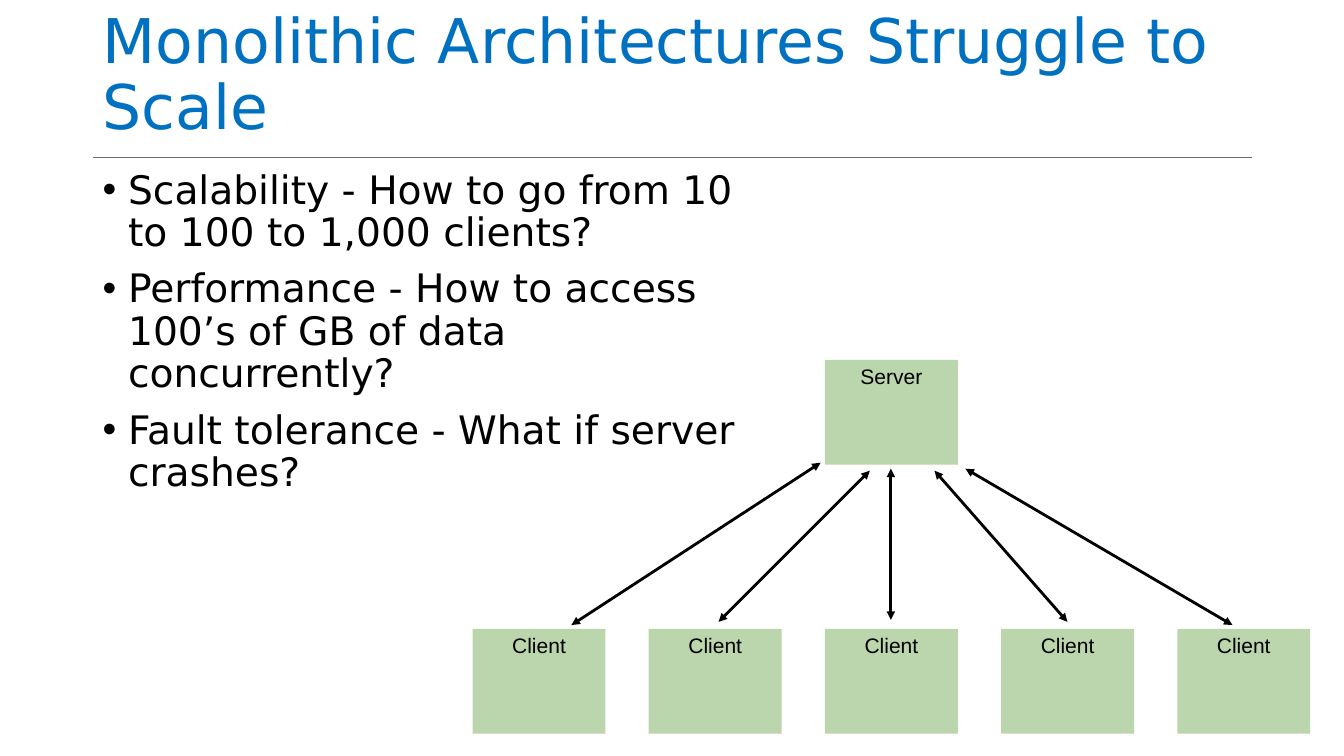
from dataclasses import dataclass

import pptx
import pptx.dml.color
import pptx.enum.shapes
import pptx.enum.text
import pptx.oxml.ns
import pptx.util
from lxml import etree

Cm = pptx.util.Cm
Pt = pptx.util.Pt
RGB = pptx.dml.color.RGBColor
Anchor = pptx.enum.text.MSO_ANCHOR
Align = pptx.enum.text.PP_ALIGN
qn = pptx.oxml.ns.qn


@dataclass(frozen=True)
class Theme:
    heading: RGB = RGB(0x00, 0x70, 0xC0)
    ink: RGB = RGB(0x00, 0x00, 0x00)
    rule: RGB = RGB(0x6B, 0x6B, 0x6B)
    machine: RGB = RGB(0xBB, 0xD5, 0xAC)
    text_font: str = "DejaVu Sans"
    label_font: str = "Arial"
    heading_size: int = 44
    question_size: int = 28
    label_size: int = 15


THEME = Theme()

QUESTIONS = [
    "Scalability - How to go from 10 to 100 to 1,000 clients?",
    "Performance - How to access 100’s of GB of data concurrently?",
    "Fault tolerance - What if server crashes?",
]

CLIENT_COUNT = 5
CLIENT_LEFT, CLIENT_TOP, CLIENT_STEP = 11.91, 15.85, 4.44
SERVER_TOP = 9.07
MACHINE_WIDTH, MACHINE_HEIGHT = 3.35, 2.64

LINKS = [
    ((14.4, 15.75), (20.68, 11.66)),
    ((18.11, 15.67), (21.92, 11.86)),
    ((22.45, 15.62), (22.45, 11.81)),
    ((26.9, 15.67), (23.55, 11.86)),
    ((31.06, 15.75), (24.33, 11.81)),
]


def style_font(paragraph, face, size, color):
    paragraph.font.name = face
    paragraph.font.size = Pt(size)
    paragraph.font.color.rgb = color


def add_bullet(paragraph):
    properties = paragraph._p.get_or_add_pPr()
    properties.set("marL", str(Cm(0.64)))
    properties.set("indent", str(-Cm(0.64)))
    etree.SubElement(properties, qn("a:buFont"), typeface="Arial")
    etree.SubElement(properties, qn("a:buChar"), char="•")


def add_text(slide, lines, left, top, width, height, size, color,
             anchor=Anchor.TOP, bulleted=False):
    frame = slide.shapes.add_textbox(
        Cm(left), Cm(top), Cm(width), Cm(height)).text_frame
    frame.word_wrap = True
    frame.vertical_anchor = anchor
    for index, line in enumerate(lines):
        paragraph = frame.add_paragraph() if index else frame.paragraphs[0]
        paragraph.text = line
        if bulleted:
            add_bullet(paragraph)
        if index:
            paragraph.space_before = Pt(10)
        paragraph.line_spacing = 0.9
        style_font(paragraph, THEME.text_font, size, color)


def add_machine(slide, label, left, top):
    machine = slide.shapes.add_shape(
        pptx.enum.shapes.MSO_SHAPE.RECTANGLE,
        Cm(left), Cm(top), Cm(MACHINE_WIDTH), Cm(MACHINE_HEIGHT))
    machine.shadow.inherit = False
    machine.fill.solid()
    machine.fill.fore_color.rgb = THEME.machine
    machine.line.fill.background()
    frame = machine.text_frame
    frame.margin_left = frame.margin_right = Cm(0.1)
    frame.margin_top = frame.margin_bottom = Cm(0.1)
    frame.vertical_anchor = Anchor.TOP
    caption = frame.paragraphs[0]
    caption.text = label
    caption.alignment = Align.CENTER
    style_font(caption, THEME.label_font, THEME.label_size, THEME.ink)


def add_line(slide, start, end, color, width, arrows=False):
    line = slide.shapes.add_connector(
        pptx.enum.shapes.MSO_CONNECTOR.STRAIGHT,
        Cm(start[0]), Cm(start[1]), Cm(end[0]), Cm(end[1]))
    line.line.color.rgb = color
    line.line.width = Pt(width)
    if arrows:
        outline = line.line._get_or_add_ln()
        for tip in ("a:headEnd", "a:tailEnd"):
            etree.SubElement(outline, qn(tip), type="triangle")
    etree.SubElement(line._element.spPr, qn("a:effectLst"))


def main():
    deck = pptx.Presentation()
    deck.slide_width = Cm(33.87)
    deck.slide_height = Cm(19.05)
    slide = deck.slides.add_slide(deck.slide_layouts[6])

    add_line(slide, (2.34, 3.97), (31.55, 3.97), THEME.rule, 0.5)
    add_text(slide, ["Monolithic Architectures Struggle to Scale"],
             2.34, 0.05, 29.21, 3.68, THEME.heading_size, THEME.heading,
             anchor=Anchor.BOTTOM)
    add_text(slide, QUESTIONS, 2.34, 4.17, 17.37, 12.09,
             THEME.question_size, THEME.ink, bulleted=True)

    server_left = CLIENT_LEFT + CLIENT_COUNT // 2 * CLIENT_STEP
    add_machine(slide, "Server", server_left, SERVER_TOP)
    for index in range(CLIENT_COUNT):
        add_machine(slide, "Client", CLIENT_LEFT + index * CLIENT_STEP, CLIENT_TOP)
    for client_end, server_end in LINKS:
        add_line(slide, client_end, server_end, THEME.ink, 2, arrows=True)

    deck.save("out.pptx")


if __name__ == "__main__":
    main()
